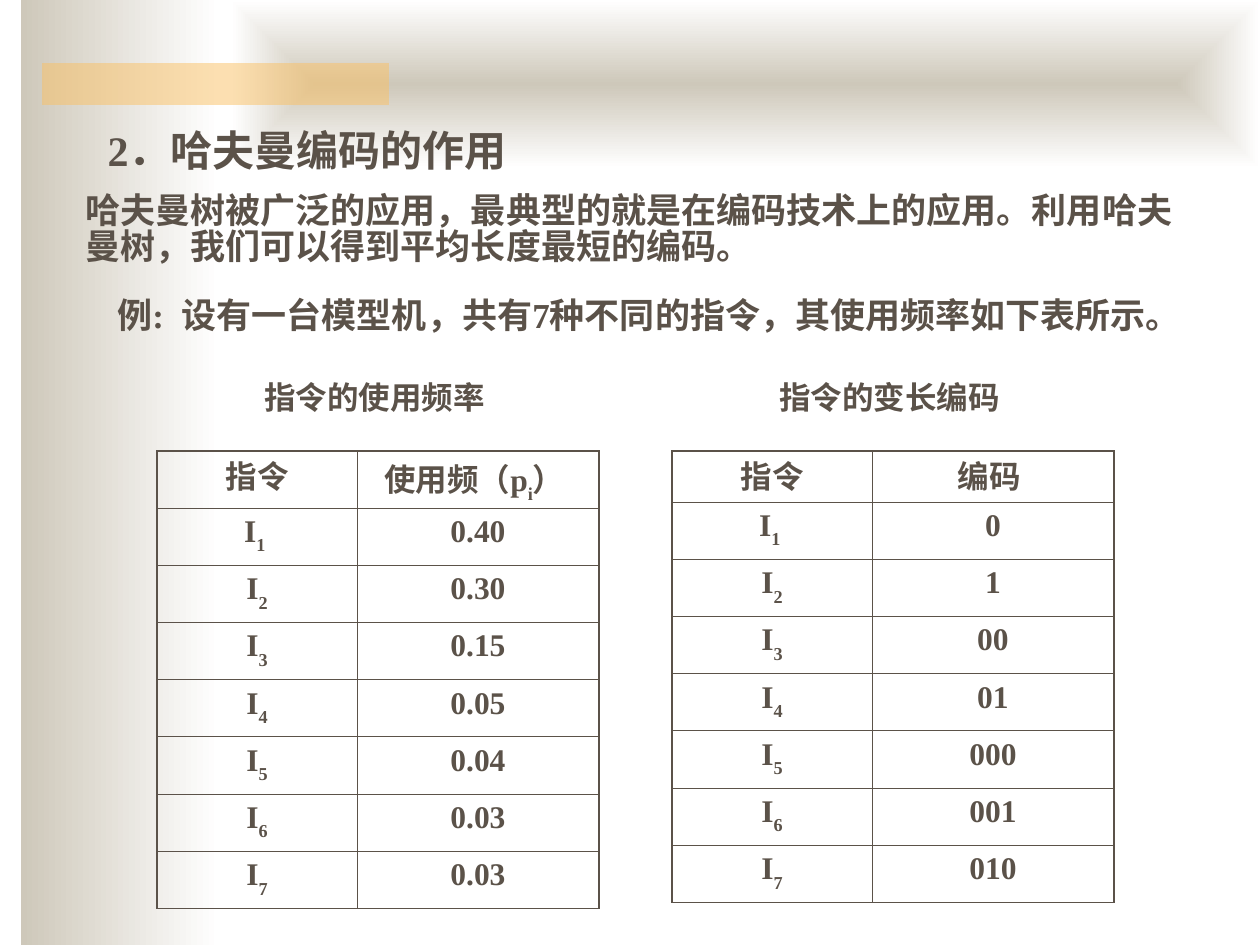
from dataclasses import dataclass
from typing import NamedTuple, Optional

from lxml.etree import SubElement
from pptx import Presentation
from pptx.dml.color import RGBColor
from pptx.enum.shapes import MSO_SHAPE
from pptx.enum.text import MSO_ANCHOR, MSO_AUTO_SIZE, PP_ALIGN
from pptx.oxml import parse_xml
from pptx.oxml.ns import nsdecls, qn
from pptx.util import Pt

EMU_PER_PX = 914400 / 126

INK = RGBColor(0x5B, 0x52, 0x49)
SAND = RGBColor(0xCE, 0xC8, 0xBA)
WHITE = RGBColor(0xFF, 0xFF, 0xFF)
AMBER = RGBColor(0xFA, 0xC1, 0x64)

SERIF = "Times New Roman"
SANS = "Noto Sans CJK SC"
CJK_LINE_SPACING = 0.85
OUTER_BORDER, INNER_BORDER = Pt(1.08), Pt(0.45)


class Box(NamedTuple):
    left: int
    top: int
    width: int
    height: int


class Piece(NamedTuple):
    text: str
    latin: str = SANS
    subscript: bool = False
    spacing: int = 0  # hundredths of a point


@dataclass(frozen=True)
class TextBlock:
    box: Box
    pieces: list[Piece]
    size: int
    align: PP_ALIGN = PP_ALIGN.LEFT


@dataclass(frozen=True)
class CodeTable:
    caption: str
    left: int
    header_height: int
    value_header: list[Piece]
    values: list[str]


TITLE = TextBlock(Box(95, 126, 1040, 63), [Piece("2", SERIF), Piece("．哈夫曼编码的作用")], 24)
PARAGRAPHS = [
    TextBlock(
        Box(73, 189, 1134, 97),
        [Piece("哈夫曼树被广泛的应用，最典型的就是在编码技术上的应用。"
               "利用哈夫曼树，我们可以得到平均长度最短的编码。")],
        20,
    ),
    TextBlock(
        Box(105, 294, 1092, 97),
        [Piece("例"), Piece(": ", SERIF, spacing=250), Piece("设有一台模型机，共有"),
         Piece("7", SERIF), Piece("种不同的指令，其使用频率如下表所示。")],
        20,
    ),
]
TABLES = [
    CodeTable(
        "指令的使用频率 ", 157, 57,
        [Piece("使用频", SERIF), Piece("（"), Piece("p", SERIF),
         Piece("i", SERIF, subscript=True), Piece("） ")],
        ["0.40", "0.30", "0.15", "0.05", "0.04", "0.03", "0.03"],
    ),
    CodeTable(
        "指令的变长编码 ", 672, 51, [Piece("编码 ", SERIF)],
        ["0", "1", "00", "01", "000", "001", "010"],
    ),
]
TABLE_TOP, ROW_HEIGHT, COLUMN_WIDTHS = 451, 57, (200, 242)
CAPTION_TOP, CAPTION_INSET, CAPTION_WIDTH, CAPTION_HEIGHT = 378, 74, 294, 50


def px(length: int) -> int:
    return round(length * EMU_PER_PX)


def emu(box: Box) -> list[int]:
    return [px(length) for length in box]


def write(paragraph, pieces: list[Piece], size: int, align: PP_ALIGN,
          line_spacing: Optional[float] = None) -> None:
    paragraph.alignment = align
    paragraph.space_before = Pt(0)
    if line_spacing:
        paragraph.line_spacing = line_spacing
    font = paragraph.font
    font.size, font.bold, font.color.rgb = Pt(size), True, INK
    for piece in pieces:
        run = paragraph.add_run()
        run.text = piece.text
        run.font.name = piece.latin
        properties = run._r.get_or_add_rPr()
        SubElement(properties, qn("a:ea")).set("typeface", SANS)
        if piece.subscript:
            properties.set("baseline", "-30000")
        if piece.spacing:
            properties.set("spc", str(piece.spacing))


def fill_text(shape, block: TextBlock) -> None:
    shape.left, shape.top, shape.width, shape.height = emu(block.box)
    frame = shape.text_frame
    frame.word_wrap = True
    frame.auto_size = MSO_AUTO_SIZE.SHAPE_TO_FIT_TEXT
    frame.vertical_anchor = MSO_ANCHOR.TOP
    write(frame.paragraphs[0], block.pieces, block.size, block.align, CJK_LINE_SPACING)


def add_text(slide, block: TextBlock) -> None:
    fill_text(slide.shapes.add_textbox(*emu(block.box)), block)


def add_panel(slide, box: Box):
    panel = slide.shapes.add_shape(MSO_SHAPE.RECTANGLE, *emu(box))
    panel.shadow.inherit = False
    panel.line.fill.background()
    return panel


def fade_to_white(panel) -> None:
    panel.fill.gradient()
    panel.fill.gradient_angle = 0
    for stop, color in zip(panel.fill.gradient_stops, (SAND, WHITE)):
        stop.color.rgb = color


def add_backdrop(slide) -> None:
    """Draw the decoration and keep it behind the title."""
    side = add_panel(slide, Box(21, 0, 199, 945))
    fade_to_white(side)

    banner = add_panel(slide, Box(231, 0, 1029, 168))
    fade_to_white(banner)
    gradient = banner.element.spPr.find(qn("a:gradFill"))
    gradient.replace(gradient.find(qn("a:lin")), parse_xml(
        f'<a:path {nsdecls("a")} path="rect">'
        '<a:fillToRect l="50000" t="50000" r="50000" b="50000"/></a:path>'))

    accent = add_panel(slide, Box(42, 63, 347, 42))
    accent.fill.solid()
    accent.fill.fore_color.rgb = AMBER
    tint = accent.element.spPr.find(f'{qn("a:solidFill")}/{qn("a:srgbClr")}')
    SubElement(tint, qn("a:alpha")).set("val", "50000")

    for panel in (side, banner, accent):
        slide.shapes.title.element.addprevious(panel.element)


def set_borders(cell, outer_sides: dict[str, bool]) -> None:
    properties = cell._tc.get_or_add_tcPr()
    for position, (side, is_outer) in enumerate(outer_sides.items()):
        width = OUTER_BORDER if is_outer else INNER_BORDER
        properties.insert(position, parse_xml(
            f'<a:ln{side} {nsdecls("a")} w="{int(width)}"><a:solidFill>'
            f'<a:srgbClr val="{INK}"/></a:solidFill></a:ln{side}>'))


def add_code_table(slide, spec: CodeTable) -> None:
    rows = [([Piece("指令", SERIF)], spec.value_header)]
    for number, value in enumerate(spec.values, start=1):
        index = "1 " if number == 1 else str(number)
        rows.append(([Piece("I", SERIF), Piece(index, SERIF, subscript=True)],
                     [Piece(value, SERIF)]))
    height = spec.header_height + ROW_HEIGHT * len(spec.values)
    box = Box(spec.left, TABLE_TOP, sum(COLUMN_WIDTHS), height)
    table = slide.shapes.add_table(len(rows), len(COLUMN_WIDTHS), *emu(box)).table
    table.first_row = table.horz_banding = False
    for column, width in zip(table.columns, COLUMN_WIDTHS):
        column.width = px(width)
    last_row, last_column = len(rows) - 1, len(COLUMN_WIDTHS) - 1
    for r, row in enumerate(rows):
        table.rows[r].height = px(ROW_HEIGHT if r else spec.header_height)
        for c, pieces in enumerate(row):
            cell = table.cell(r, c)
            cell.fill.background()
            set_borders(cell, {"L": c == 0, "R": c == last_column,
                               "T": r == 0, "B": r == last_row})
            write(cell.text_frame.paragraphs[0], pieces, 18, PP_ALIGN.CENTER,
                  None if r else CJK_LINE_SPACING)
    caption_box = Box(spec.left + CAPTION_INSET, CAPTION_TOP, CAPTION_WIDTH, CAPTION_HEIGHT)
    add_text(slide, TextBlock(caption_box, [Piece(spec.caption)], 18, PP_ALIGN.CENTER))


def main() -> None:
    deck = Presentation()
    deck.slide_width, deck.slide_height = px(1260), px(945)
    slide = deck.slides.add_slide(deck.slide_layouts[5])
    add_backdrop(slide)
    fill_text(slide.shapes.title, TITLE)
    for block in PARAGRAPHS:
        add_text(slide, block)
    for spec in TABLES:
        add_code_table(slide, spec)
    deck.save("out.pptx")


if __name__ == "__main__":
    main()
